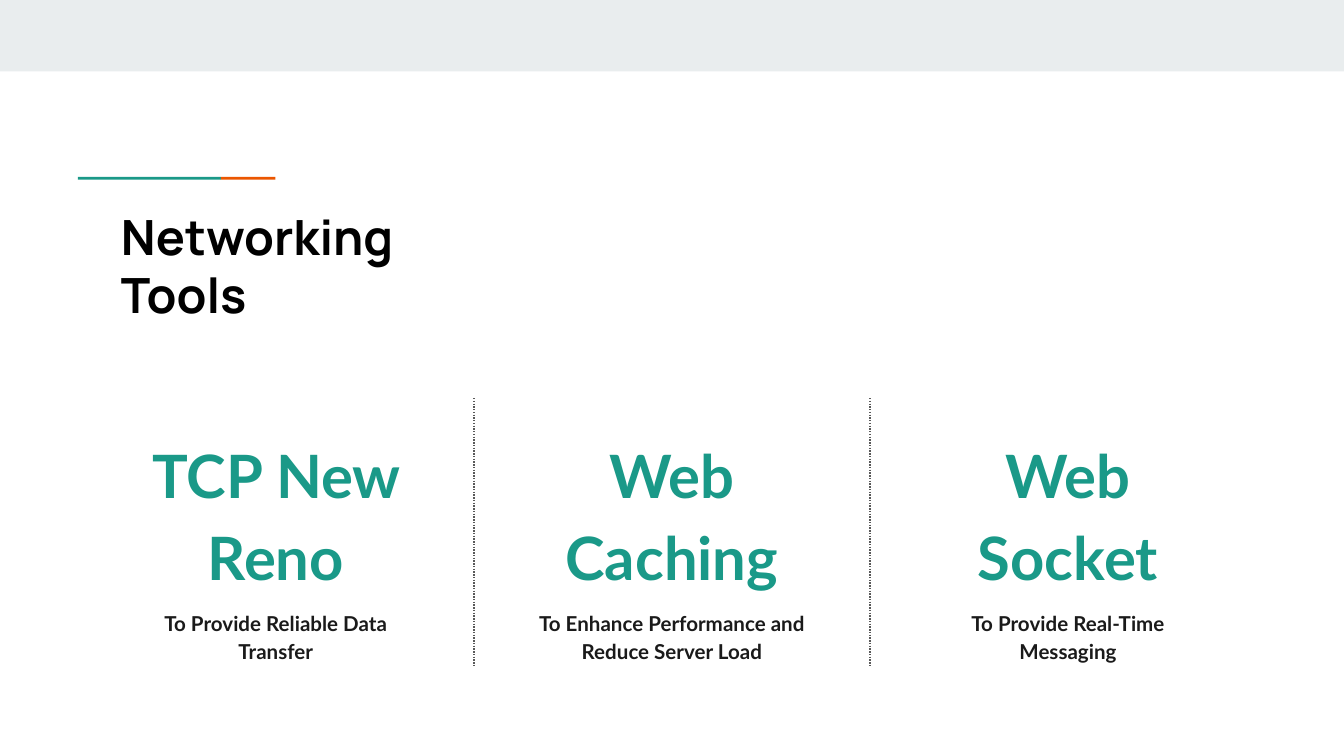
import pptx
import pptx.util
import pptx.dml.color
import pptx.enum.dml
import pptx.enum.shapes
import pptx.enum.text
import pptx.oxml

Pt = pptx.util.Pt
PP_ALIGN = pptx.enum.text.PP_ALIGN

COLORS = {
    "band": "E9EDEE",
    "teal": "1A9988",
    "orange": "EB5600",
    "title": "000000",
    "body": "1A1A1A",
    "divider": "595959",
}
TITLE = "Networking Tools"
TOOLS = [
    ("TCP New Reno", "To Provide Reliable Data Transfer"),
    ("Web Caching", "To Enhance Performance and Reduce Server Load"),
    ("Web Socket", "To Provide Real-Time Messaging"),
]
BARS = [
    ("band", 0, 0, 720, 38.3),
    ("teal", 41.8, 94.8, 76.6, 1.5),
    ("orange", 118.4, 94.8, 29.2, 1.5),
]
SLIDE_W, SLIDE_H = 720, 405
PITCH = 212.2
NAME_W, PURPOSE_W = 181.4, 162.7
DIVIDER_TOP, DIVIDER_BOTTOM = 213.3, 357


def rgb(name):
    return pptx.dml.color.RGBColor.from_string(COLORS[name])


def fill_text(s, text, size, font, color, align):
    tf = s.text_frame
    tf.word_wrap = True
    tf.auto_size = pptx.enum.text.MSO_AUTO_SIZE.NONE
    tf.vertical_anchor = pptx.enum.text.MSO_ANCHOR.TOP
    tf.margin_left = tf.margin_right = tf.margin_top = tf.margin_bottom = Pt(7.2)
    tf.text = text
    p = tf.paragraphs[0]
    p.alignment = align
    p.font.size = Pt(size)
    p.font.name = font
    p.font.bold = True
    p.font.color.rgb = rgb(color)
    return p


def add_label(slide, text, center, top, width, height, size, color):
    s = slide.shapes.add_textbox(Pt(center - width / 2), Pt(top), Pt(width), Pt(height))
    p = fill_text(s, text, size, "Lato", color, PP_ALIGN.CENTER)
    p.line_spacing = 1.15
    p.space_after = Pt(16)


def add_bar(slide, color, *box):
    s = slide.shapes.add_shape(pptx.enum.shapes.MSO_SHAPE.RECTANGLE, *map(Pt, box))
    s.shadow.inherit = False
    s.fill.solid()
    s.fill.fore_color.rgb = rgb(color)
    s.line.fill.background()


def add_divider(slide, x):
    s = slide.shapes.add_connector(
        pptx.enum.shapes.MSO_CONNECTOR.STRAIGHT,
        Pt(x), Pt(DIVIDER_TOP), Pt(x), Pt(DIVIDER_BOTTOM))
    s.line.color.rgb = rgb("divider")
    s.line.width = Pt(0.75)
    s.line.dash_style = pptx.enum.dml.MSO_LINE.ROUND_DOT
    effects = pptx.oxml.parse_xml(
        '<a:effectLst xmlns:a="http://schemas.openxmlformats.org/drawingml/2006/main"/>')
    s._element.spPr.append(effects)


def main():
    prs = pptx.Presentation()
    prs.slide_width, prs.slide_height = Pt(SLIDE_W), Pt(SLIDE_H)
    slide = prs.slides.add_slide(prs.slide_layouts[5])

    for bar in BARS:
        add_bar(slide, *bar)

    title = slide.shapes.title
    title.left, title.top, title.width, title.height = map(Pt, (57.6, 103.7, 220.3, 81.4))
    fill_text(title, TITLE, 26, "Manrope", "title", PP_ALIGN.LEFT)

    for i, (name, purpose) in enumerate(TOOLS):
        center = SLIDE_W / 2 + (i - 1) * PITCH
        add_label(slide, name, center, 222, NAME_W, 74.9, 32, "teal")
        add_label(slide, purpose, center, 318.2, PURPOSE_W, 58.3, 11, "body")
        if i:
            add_divider(slide, center - PITCH / 2)

    prs.save("out.pptx")


if __name__ == "__main__":
    main()
